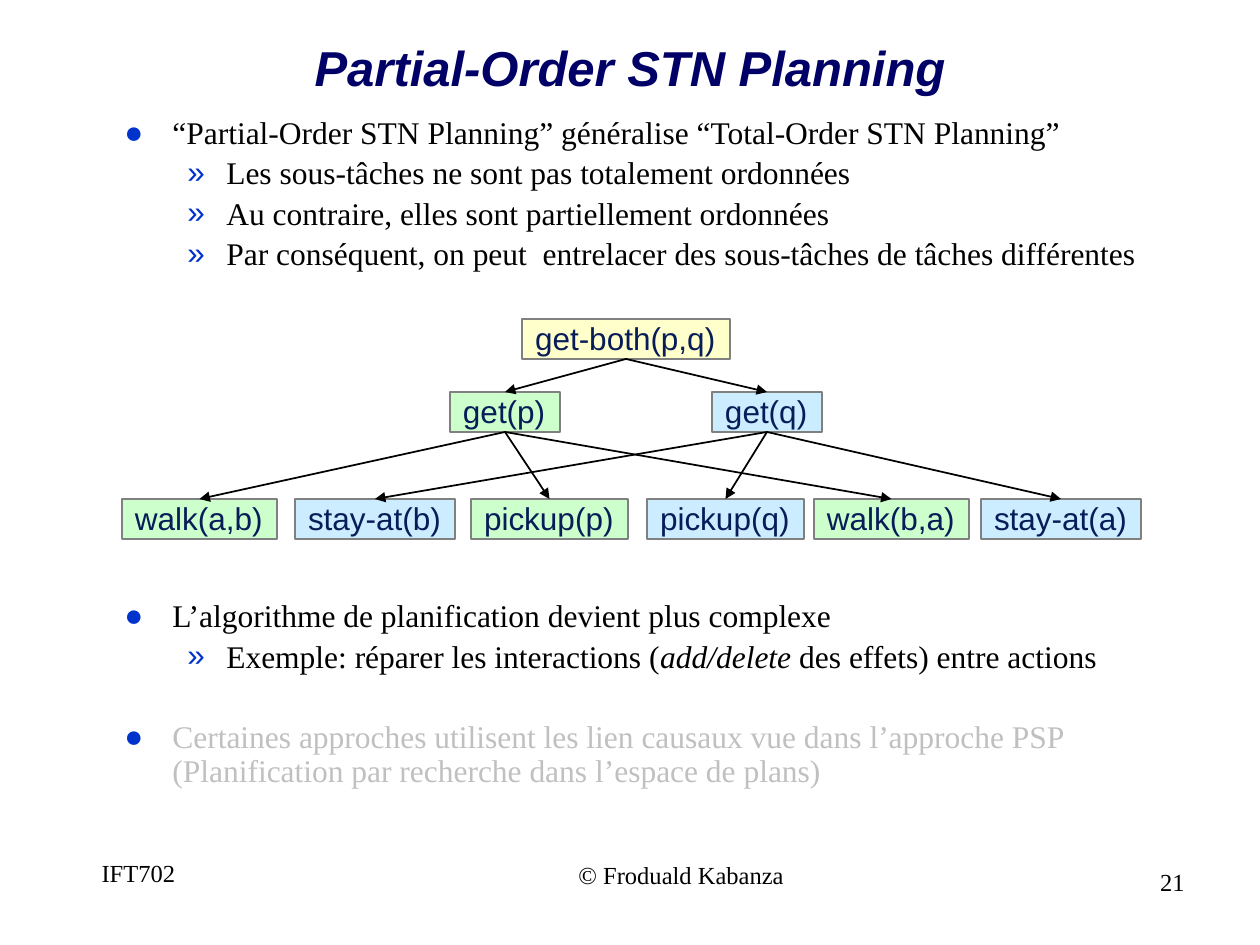
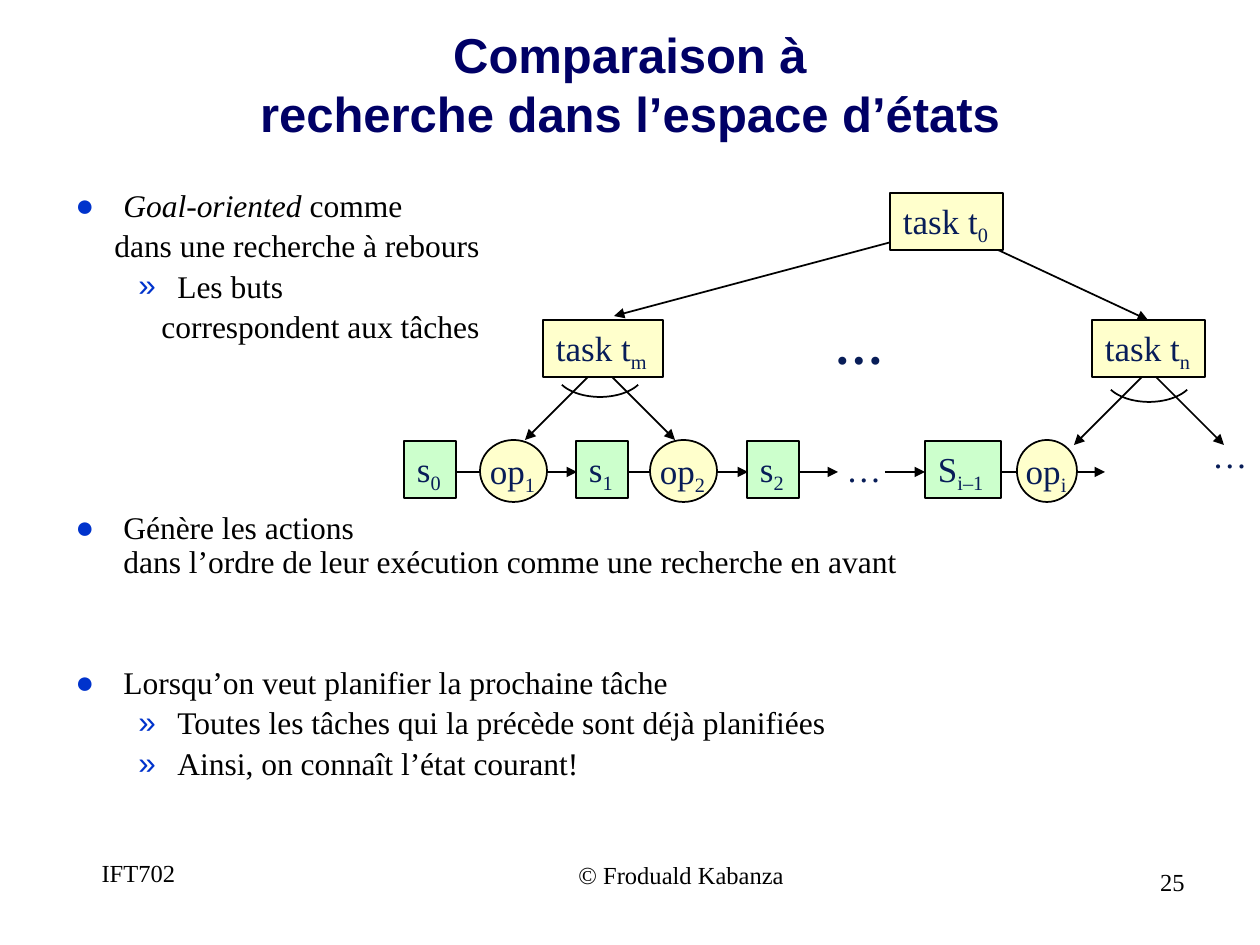
import math
import pptx
import pptx.util
import pptx.dml.color
import pptx.enum.shapes
import pptx.enum.text
import pptx.oxml
import pptx.oxml.ns

RGB = pptx.dml.color.RGBColor
Pt = pptx.util.Pt
KIND = pptx.enum.shapes.MSO_SHAPE
ALIGN = pptx.enum.text.PP_ALIGN
ANCHOR = pptx.enum.text.MSO_ANCHOR

NAVY = RGB(0x00, 0x00, 0x66)
INK = RGB(0x08, 0x1D, 0x58)
BLACK = RGB(0, 0, 0)
GRAY = RGB(0x80, 0x80, 0x80)
FAINT = RGB(0xC0, 0xC0, 0xC0)
GREEN = RGB(0xCC, 0xFF, 0xCC)
SKY = RGB(0xCC, 0xEC, 0xFF)
CREAM = RGB(0xFF, 0xFF, 0xCC)
BULLET = RGB(0x00, 0x33, 0xCC)
SANS, SERIF = "Arial", "Times New Roman"
SCALE = 914400 / 126
PITCH, BEFORE = 23, 3.6          # line pitch and paragraph gap, points
MARKS = ("●", "»")
LEFT, HANG = (48, 102), (48, 39)  # left margin and hanging indent per level


def px(n):
    """Turn pixels into EMU."""
    return round(n * SCALE)


def area(x, y, w, h):
    """Turn a pixel box into EMU."""
    return [px(n) for n in (x, y, w, h)]


def style(run, size, face, color, bold=False, slant=False):
    """Format one run."""
    font = run.font
    font.size, font.name, font.bold, font.italic = Pt(size), face, bold, slant
    font.color.rgb = color


def child(parent, tag, **attrs):
    """Append one drawing element."""
    node = pptx.oxml.parse_xml(f"<a:{tag} {pptx.oxml.ns.nsdecls('a')}/>")
    for key, value in attrs.items():
        node.set(key, str(value))
    parent.append(node)
    return node


def title(slide, text, box, slant=False):
    """Place and format the title placeholder."""
    shape = slide.shapes.title
    shape.left, shape.top, shape.width, shape.height = area(*box)
    frame = shape.text_frame
    frame.text = text
    frame.auto_size = pptx.enum.text.MSO_AUTO_SIZE.NONE
    frame.vertical_anchor = ANCHOR.BOTTOM
    for para in frame.paragraphs:
        para.alignment = ALIGN.CENTER
        for run in para.runs:
            style(run, 28, SANS, NAVY, True, slant)


def label(slide, text, box, size=14, color=BLACK, align=ALIGN.LEFT, bold=False):
    """Add a plain line of text."""
    frame = slide.shapes.add_textbox(*area(*box)).text_frame
    frame.text, frame.word_wrap = text, True
    frame.paragraphs[0].alignment = align
    style(frame.paragraphs[0].runs[0], size, SERIF, color, bold)


def footer(slide, number):
    """Add course, author and slide number."""
    label(slide, "IFT702", (76, 852, 125, 66), align=ALIGN.CENTER)
    label(slide, "© Froduald Kabanza", (566, 854, 234, 66))
    label(slide, str(number), (903, 861, 294, 66), align=ALIGN.RIGHT)


def body(slide, box, items):
    """Add bullets: level, text with *italics*, lines skipped, colour, and
    the left margin of a line that has no bullet."""
    frame = slide.shapes.add_textbox(*area(*box)).text_frame
    frame.word_wrap = True
    for i, (level, text, skip, color, plain) in enumerate(items):
        para = frame.add_paragraph() if i else frame.paragraphs[0]
        first, *rest = text.split("*")
        para.text = first
        for part in rest:
            para.add_run().text = part
        slants = {part for part in rest[::2]}
        for run in para.runs:
            style(run, 18, SERIF, color, slant=run.text in slants)
        para.level, para.line_spacing = level, 0.9
        para.space_before = Pt(BEFORE + PITCH * skip)
        props = para._p.get_or_add_pPr()
        props.set("marL", str(px(plain or LEFT[level])))
        props.set("indent", str(0 if plain else -px(HANG[level])))
        if plain:
            child(props, "buNone")
        else:
            child(child(props, "buClr"), "srgbClr", val=BULLET)
            child(props, "buFont", typeface=SANS)
            child(props, "buChar", char=MARKS[level])


def item(level, text, skip=0, color=BLACK, plain=0):
    """Describe one paragraph of the body."""
    return level, text, skip, color, plain


def arrow(slide, start, end):
    """Draw a thin line with a triangle at its end."""
    line = slide.shapes.add_connector(
        pptx.enum.shapes.MSO_CONNECTOR.STRAIGHT,
        *[px(n) for n in (*start, *end)])
    line.line.color.rgb, line.line.width = BLACK, Pt(1)
    child(line.line._get_or_add_ln(), "tailEnd", type="triangle")
    child(line._element.spPr, "effectLst")


def node(slide, text, box, fill, edge=BLACK, face=SERIF, size=20,
         kind=KIND.RECTANGLE, pad=(13, 6)):
    """Draw a filled shape; what follows _ is a subscript."""
    shape = slide.shapes.add_shape(kind, *area(*box))
    shape.shadow.inherit = False
    shape.fill.solid()
    shape.fill.fore_color.rgb = fill
    shape.line.color.rgb, shape.line.width = edge, Pt(1)
    frame = shape.text_frame
    frame.word_wrap, frame.vertical_anchor = False, ANCHOR.TOP
    frame.margin_left = frame.margin_right = px(pad[0])
    frame.margin_top = frame.margin_bottom = px(pad[1])
    para = frame.paragraphs[0]
    para.alignment = ALIGN.LEFT
    base, _, sub = text.partition("_")
    para.text = base
    if sub:
        run = para.add_run()
        run.text = sub
        run.font._element.set("baseline", "-25000")
    for run in para.runs:
        style(run, size, face, INK)


def tree(slide, x, y):
    """Draw the task tree from its top left corner."""
    high, mid, low = 40, 73, 180
    root = ("get-both(p,q)", 400, 0, 208, CREAM)
    goals = [("get(p)", 328, mid, 110, GREEN), ("get(q)", 590, mid, 110, SKY)]
    leaves = [("walk(a,b)", 0, low, 155, GREEN),
              ("stay-at(b)", 173, low, 160, SKY),
              ("pickup(p)", 349, low, 157, GREEN),
              ("pickup(q)", 525, low, 157, SKY),
              ("walk(b,a)", 692, low, 155, GREEN),
              ("stay-at(a)", 859, low, 160, SKY)]
    for text, dx, dy, w, fill in [root, *goals, *leaves]:
        node(slide, text, (x + dx, y + dy, w, high), fill, GRAY, SANS, 18,
             pad=(13, 0))
    links = [(root, goal) for goal in goals]
    links += [(goal, leaf) for goal in goals for leaf in leaves
              if goal[-1] == leaf[-1]]
    for (_, ax, ay, aw, _), (_, bx, by, bw, _) in links:
        arrow(slide, (x + ax + aw / 2, y + ay + high),
              (x + bx + bw / 2, y + by))


def fan(slide, x, y):
    """Draw two arrows from an apex, joined by an arc."""
    for side in (-75, 75):
        arrow(slide, (x, y), (x + side, y + 75))
    turns = [math.radians(a) for a in range(-58, 59, 4)]
    points = [(px(x + 45 * math.sin(a)), px(y + 6 + 26 * math.cos(a)))
              for a in turns]
    pen = slide.shapes.build_freeform(*points[0])
    pen.add_line_segments(points[1:], close=False)
    arc = pen.convert_to_shape()
    arc.shadow.inherit = False
    arc.fill.background()
    arc.line.color.rgb, arc.line.width = BLACK, Pt(1)


def search(slide, x, y):
    """Draw tasks above a chain of states and operators."""
    arrow(slide, (x + 540, y + 35), (x + 210, y + 123))
    arrow(slide, (x + 547, y + 35), (x + 744, y + 127))
    fan(slide, x + 196, y + 172)
    fan(slide, x + 745, y + 177)
    for a, b in ((51, 173), (222, 344), (394, 434), (481, 521), (579, 701)):
        arrow(slide, (x + a, y + 279), (x + b, y + 279))
    for text, dx, dy, w in (("task t_0", 486, 0, 113),
                            ("task t_m", 139, 127, 120),
                            ("task t_n", 688, 127, 113)):
        node(slide, text, (x + dx, y + dy, w, 57), CREAM)
    for text, dx, w in (("s_0", 0, 52), ("s_1", 172, 52), ("s_2", 343, 52),
                        ("S_i–1", 521, 76)):
        node(slide, text, (x + dx, y + 248, w, 57), GREEN)
    for text, dx, w in (("op_1", 76, 67), ("op_2", 246, 67), ("op_i", 613, 60)):
        node(slide, text, (x + dx, y + 247, w, 62), CREAM, kind=KIND.OVAL,
             pad=(0, 0))
    label(slide, "…", (x + 418, y + 116, 74, 72), 28, INK, bold=True)
    for dx, dy in ((430, 248), (796, 234)):
        label(slide, "…", (x + dx, y + dy, 60, 54), 20, INK)


def order(slide):
    """Fill the partial-order slide."""
    title(slide, "Partial-Order STN Planning", (21, 14, 1218, 89), True)
    body(slide, (112, 111, 1081, 711), [
        item(0, "“Partial-Order STN Planning” généralise "
                "“Total-Order STN Planning”"),
        item(1, "Les sous-tâches ne sont pas totalement ordonnées"),
        item(1, "Au contraire, elles sont partiellement ordonnées"),
        item(1, "Par conséquent, on peut  entrelacer des sous-tâches "
                "de tâches différentes"),
        item(0, "L’algorithme de planification devient plus complexe", 8),
        item(1, "Exemple: réparer les interactions (*add/delete* des effets) "
                "entre actions"),
        item(0, "Certaines approches utilisent les lien causaux vue dans "
                "l’approche PSP (Planification par recherche dans l’espace "
                "de plans)", 1, FAINT)])
    tree(slide, 122, 319)
    footer(slide, 21)


def compare(slide):
    """Fill the comparison slide."""
    title(slide, "Comparaison à\vrecherche dans l’espace d’états",
          (21, 9, 1218, 140))
    body(slide, (63, 184, 1134, 631), [
        item(0, "*Goal-oriented* comme"),
        item(0, "dans une recherche à rebours", plain=39),
        item(1, "Les buts"),
        item(1, "correspondent aux tâches", plain=86),
        item(0, "Génère les actions\vdans l’ordre de leur exécution comme "
                "une recherche en avant", 4),
        item(0, "Lorsqu’on veut planifier la prochaine tâche", 2),
        item(1, "Toutes les tâches qui la précède sont déjà planifiées"),
        item(1, "Ainsi, on connaît l’état courant!")])
    search(slide, 404, 193)
    footer(slide, 25)


deck = pptx.Presentation()
deck.slide_width, deck.slide_height = px(1260), px(945)
for fill in (order, compare):
    fill(deck.slides.add_slide(deck.slide_layouts[5]))
deck.save("out.pptx")
